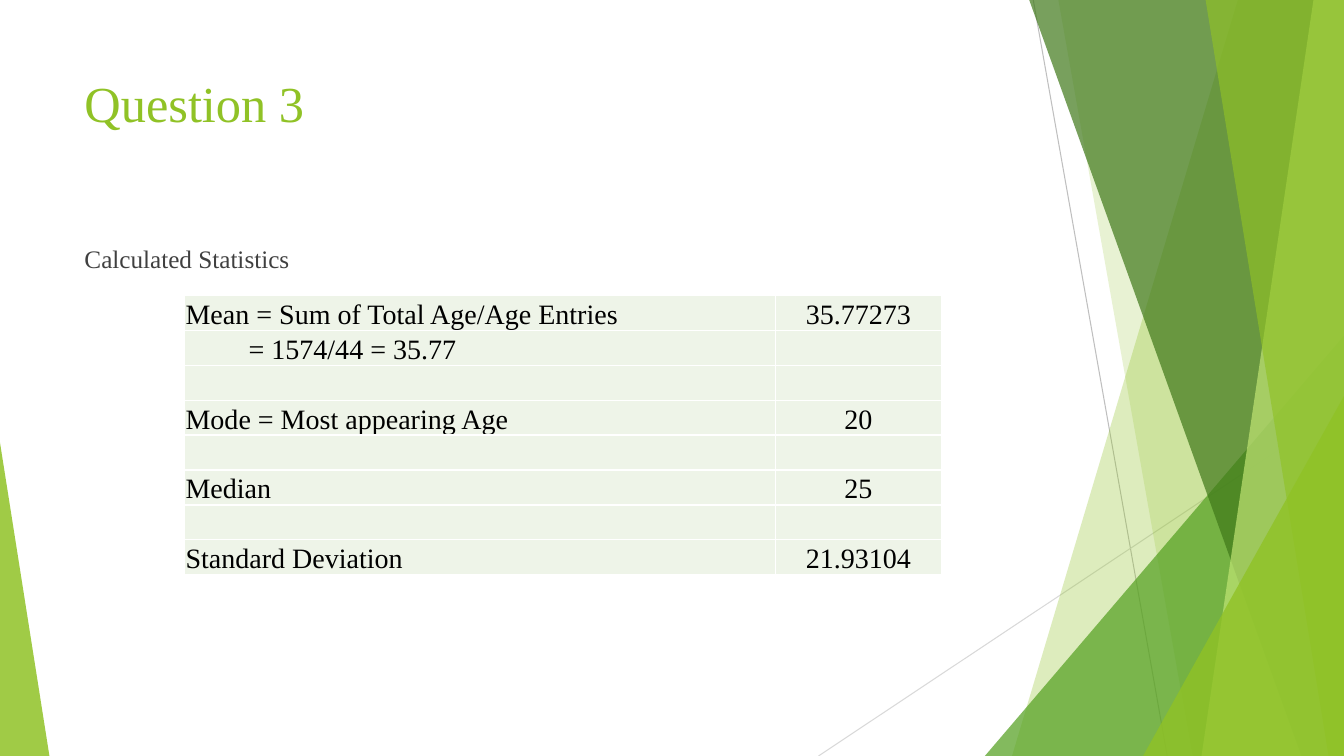
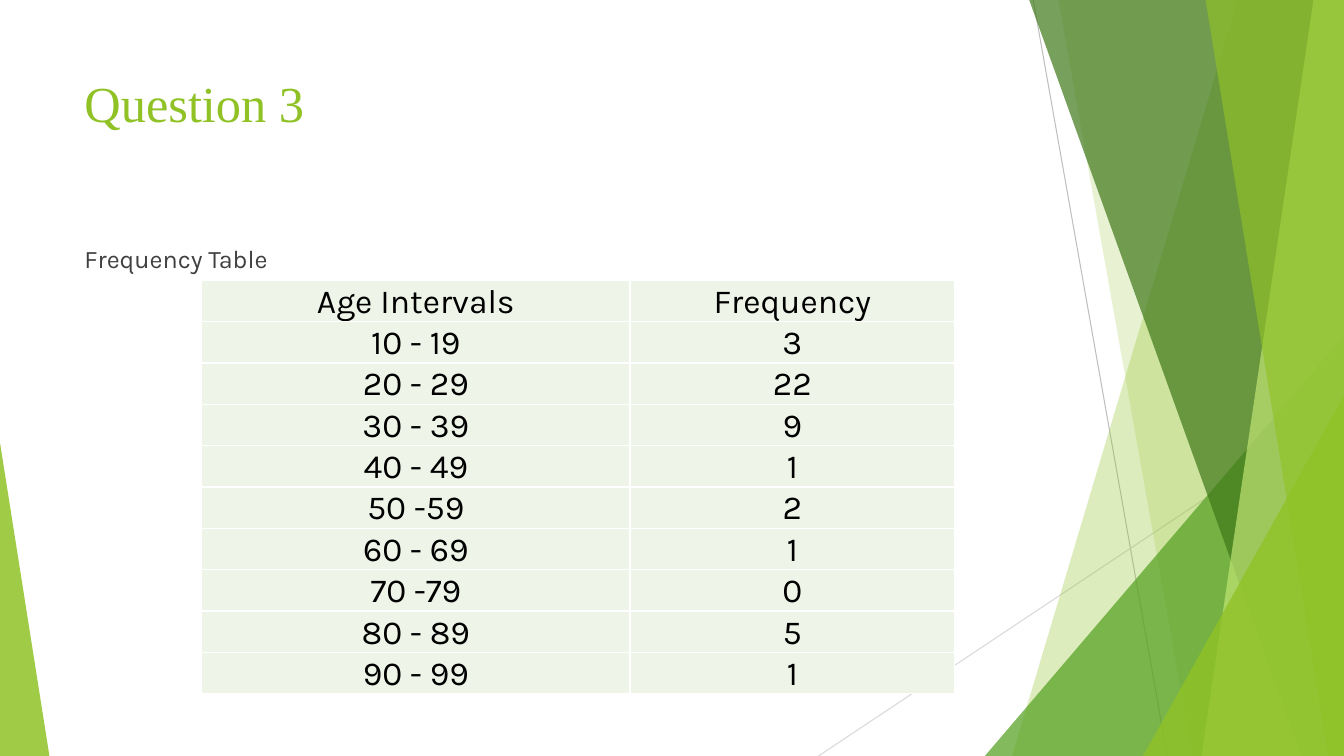
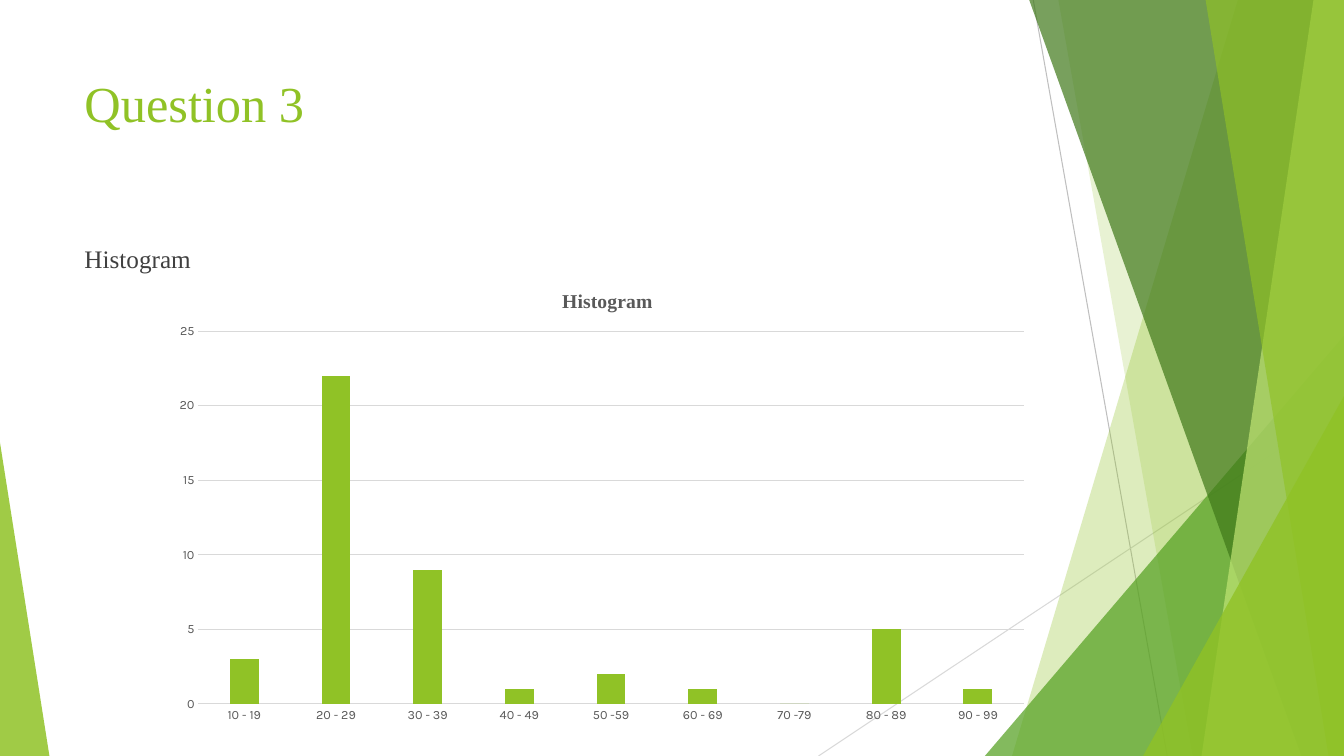
from itertools import cycle
from lxml.etree import SubElement
from pptx import Presentation
from pptx.chart.data import CategoryChartData
from pptx.dml.color import RGBColor
from pptx.enum.chart import XL_CHART_TYPE, XL_TICK_MARK
from pptx.enum.shapes import MSO_CONNECTOR, MSO_SHAPE
from pptx.enum.text import MSO_ANCHOR, PP_ALIGN
from pptx.oxml import parse_xml
from pptx.oxml.ns import nsdecls, qn
from pptx.util import Inches, Pt

LIME = RGBColor(0x90, 0xC2, 0x26)
GREEN = RGBColor(0x54, 0xA0, 0x21)
FOREST = RGBColor(0x3F, 0x78, 0x19)
PALE = RGBColor(0xC0, 0xE4, 0x74)
MINT = RGBColor(0xEE, 0xF4, 0xE8)
BLACK = RGBColor(0, 0, 0)
DARK = RGBColor(0x40, 0x40, 0x40)
GREY = RGBColor(0x59, 0x59, 0x59)
SILVER = RGBColor(0xBF, 0xBF, 0xBF)
RULE = RGBColor(0xD9, 0xD9, 0xD9)
SERIF, SANS = "Times New Roman", "Karla"

deck = Presentation()
deck.slide_width, deck.slide_height = Inches(13.33), Inches(7.5)
WIDE, HIGH = deck.slide_width, deck.slide_height


def at(*shares):
    """Turn x, y, x, y ... in percent of the slide into lengths."""
    return [int(s * side / 100) for s, side in zip(shares, cycle((WIDE, HIGH)))]


def dress(font, size, name, color, bold=False):
    for key, val in {"size": Pt(size), "name": name, "bold": bold}.items():
        setattr(font, key, val)
    font.color.rgb = color


# Shared decor: thin lines, then bands (top x, foot x) and corner triangles
LINES = [((76.88, 0, 86.85, 100), SILVER), ((100, 53.73, 60.9, 100), RULE)]
PANES = [
    ("band", (92.1, 75.3), LIME, 30),
    ("band", (78.75, 88.73), LIME, 20),
    ("right", (73.28, 44.4, 26.72, 55.6), GREEN, 72),
    ("band", (76.58, 96.83), FOREST, 70),
    ("band", (97.73, 89.4), PALE, 70),
    ("band", (89.7, 98.85), LIME, 65),
    ("right", (85.05, 52.4, 14.95, 47.6), LIME, 80),
    ("left", (0, 58.53, 3.68, 41.47), LIME, 85),
]
HEADS = [("Calculated Statistics", SERIF), ("Frequency Table", SANS),
         ("Histogram", SERIF)]

pages = []
for head, face in HEADS:
    page = deck.slides.add_slide(deck.slide_layouts[6])
    pages.append(page)
    for ends, color in LINES:
        line = page.shapes.add_connector(MSO_CONNECTOR.STRAIGHT, *at(*ends))
        line.line.color.rgb = color
        line.line.width = Pt(0.75)
        SubElement(line.element.spPr, qn("a:effectLst"))
    for kind, spot, color, alpha in PANES:
        if kind == "band":
            top, foot = spot
            path = page.shapes.build_freeform(*at(top, 0))
            path.add_line_segments([at(100, 0), at(100, 100), at(foot, 100)])
            pane = path.convert_to_shape()
        else:
            pane = page.shapes.add_shape(MSO_SHAPE.ISOSCELES_TRIANGLE, *at(*spot))
            pane.adjustments[0] = 1 if kind == "right" else 0
        pane.shadow.inherit = False
        pane.line.fill.background()
        pane.fill.solid()
        pane.fill.fore_color.rgb = color
        tint = pane.element.spPr.find(".//" + qn("a:srgbClr"))
        SubElement(tint, qn("a:alpha")).set("val", str(alpha * 1000))

    # Title and subheading
    for text, spot, size, name, color, gap in [
        ("Question 3", (5.55, 8.93, 70.5, 19.2), 36, SERIF, LIME, 0),
        (head, (5.55, 31.47, 70.5, 56.53), 18, face, DARK, 10),
    ]:
        frame = page.shapes.add_textbox(*at(*spot)).text_frame
        frame.word_wrap = True
        par = frame.paragraphs[0]
        par.space_before = Pt(gap)
        run = par.add_run()
        run.text = text
        dress(run.font, size, name, color)

# Tables
STATS = [
    ("Mean = Sum of Total Age/Age Entries", "35.77273"),
    ("= 1574/44 = 35.77", ""),
    ("", ""),
    ("Mode = Most appearing Age", "20"),
    ("", ""),
    ("Median", "25"),
    ("", ""),
    ("Standard Deviation", "21.93104"),
]
AGES = ["10 - 19", "20 - 29", "30 - 39", "40 - 49", "50 -59",
        "60 - 69", "70 -79", "80 - 89", "90 - 99"]
COUNTS = [3, 22, 9, 1, 2, 1, 0, 5, 1]
FREQ = [("Age Intervals", "Frequency")] + [(a, str(n)) for a, n in zip(AGES, COUNTS)]
CELL = {"margin_left": Inches(0.01), "margin_right": Inches(0.01),
        "margin_top": Inches(0.01), "margin_bottom": 0,
        "vertical_anchor": MSO_ANCHOR.BOTTOM}

for page, rows, spot, cols, step, size, face, first in [
    (pages[0], STATS, (13.73, 39.07), (43.95, 12.38), 4.62, 20, SERIF, PP_ALIGN.LEFT),
    (pages[1], FREQ, (15, 37.07), (31.88, 24.15), 5.32, 24, SANS, PP_ALIGN.CENTER),
]:
    area = at(*spot, sum(cols), step * len(rows))
    grid = page.shapes.add_table(len(rows), 2, *area).table
    grid.first_row = grid.horz_banding = False
    for col, share in zip(grid.columns, cols):
        col.width = at(share)[0]
    for r, texts in enumerate(rows):
        grid.rows[r].height = at(0, step)[1]
        for c, text in enumerate(texts):
            cell = grid.cell(r, c)
            for key, val in CELL.items():
                setattr(cell, key, val)
            cell.fill.solid()
            cell.fill.fore_color.rgb = MINT
            par = cell.text_frame.paragraphs[0]
            par.alignment = PP_ALIGN.CENTER if c else first
            if text.startswith("="):
                par._p.get_or_add_pPr().set("marL", str(Pt(45)))
            if text:
                run = par.add_run()
                run.text = text
                dress(run.font, size, face, BLACK)

# Histogram
data = CategoryChartData()
data.categories = AGES
data.add_series("Series 1", COUNTS)
chart = pages[2].shapes.add_chart(
    XL_CHART_TYPE.COLUMN_CLUSTERED, *at(12.15, 35.2, 65.33, 61.6), data).chart
dress(chart.font, 10, SANS, BLACK)
chart.has_legend = False
chart.has_title = True
run = chart.chart_title.text_frame.paragraphs[0].add_run()
run.text = "Histogram"
dress(run.font, 14, SERIF, GREY, True)

plot = chart.plots[0]
plot.gap_width, plot.overlap, plot.vary_by_categories = 219, -27, False
bars = plot.series[0].format.fill
bars.solid()
bars.fore_color.rgb = LIME

for axis in (chart.category_axis, chart.value_axis):
    axis.major_tick_mark = axis.minor_tick_mark = XL_TICK_MARK.NONE
    dress(axis.tick_labels.font, 9, SANS, GREY)
values = chart.value_axis
for key, val in {"minimum_scale": 0, "maximum_scale": 25, "major_unit": 5,
                 "has_major_gridlines": True}.items():
    setattr(values, key, val)
values.format.line.fill.background()
for line in (chart.category_axis.format.line, values.major_gridlines.format.line):
    line.color.rgb = RULE
    line.width = Pt(0.75)

# Fixed places for the chart title and the plot, as shares of the chart
body = chart.element.find(".//" + qn("c:plotArea"))
for part, index, spot in [
    (chart.chart_title.element, 1, {"x": 0.45, "y": 0.04}),
    (body, 0, {"x": 0.04, "y": 0.14, "w": 0.94, "h": 0.8}),
]:
    old = part.find(qn("c:layout"))
    if old is not None:
        part.remove(old)
    place = parse_xml(f"<c:layout {nsdecls('c')}><c:manualLayout/></c:layout>")
    part.insert(index, place)
    if part is body:
        SubElement(place[0], qn("c:layoutTarget")).set("val", "inner")
    for key in ("x", "y"):
        SubElement(place[0], qn(f"c:{key}Mode")).set("val", "edge")
    for key, val in spot.items():
        SubElement(place[0], qn(f"c:{key}")).set("val", str(val))

deck.save("out.pptx")
